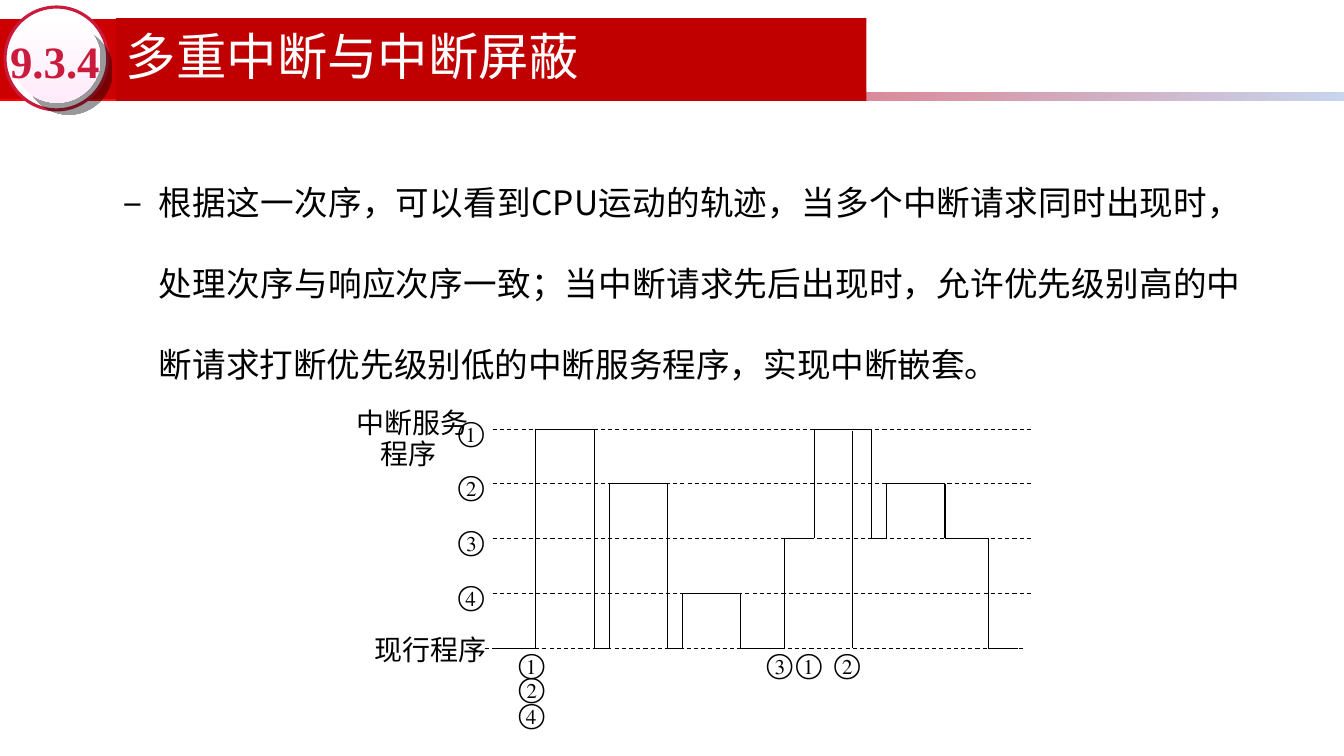
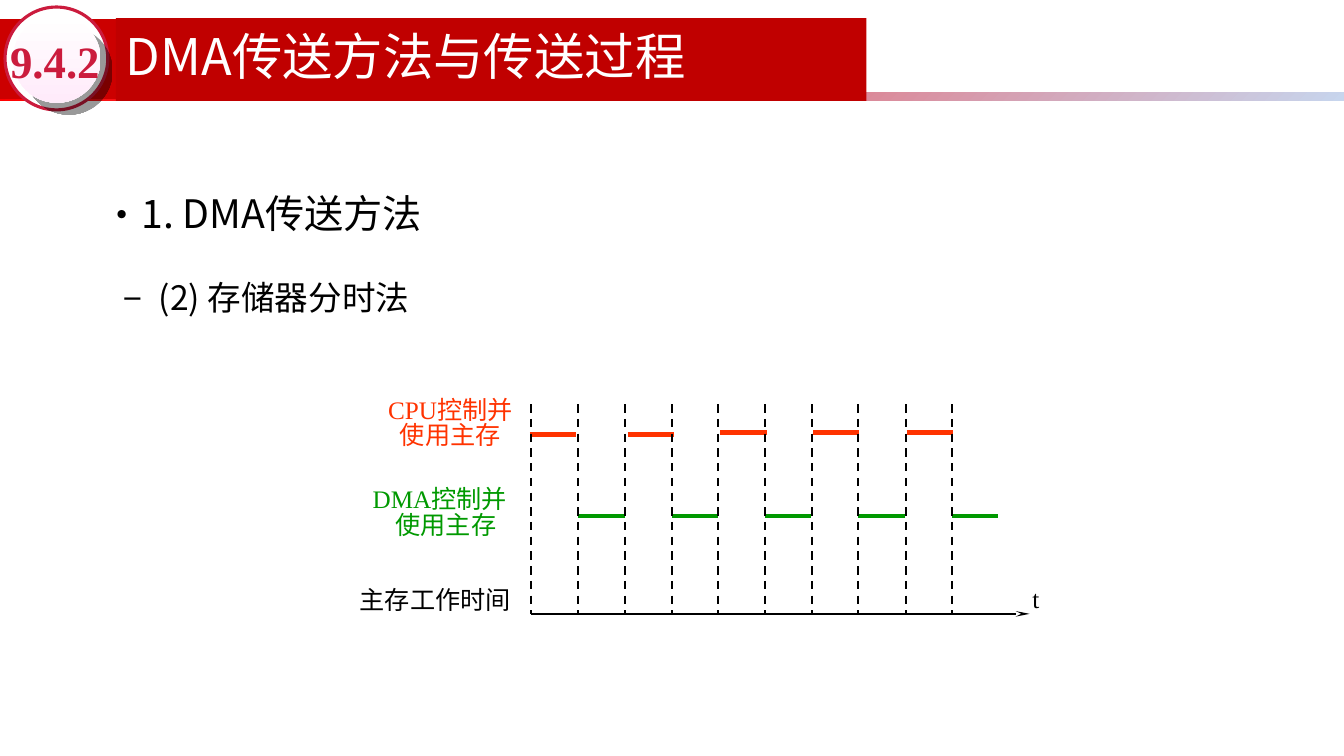
from dataclasses import dataclass
from itertools import pairwise
from typing import Optional

from lxml import etree
from pptx import Presentation
from pptx.dml.color import RGBColor
from pptx.enum.dml import MSO_LINE
from pptx.enum.shapes import MSO_CONNECTOR, MSO_SHAPE
from pptx.enum.text import MSO_ANCHOR, PP_ALIGN
from pptx.oxml.ns import qn
from pptx.util import Emu, Pt

SCALE = 9144
TITLE_ONLY = 5
STRAIGHT = MSO_CONNECTOR.STRAIGHT
RECTANGLE, OVAL = MSO_SHAPE.RECTANGLE, MSO_SHAPE.OVAL
DASH = MSO_LINE.DASH
MIDDLE = MSO_ANCHOR.MIDDLE
LEFT, CENTER, JUSTIFY = PP_ALIGN.LEFT, PP_ALIGN.CENTER, PP_ALIGN.JUSTIFY
SANS, SERIF = "Noto Sans CJK SC", "Times New Roman"
COLORS = {
    "black": "000000", "white": "FFFFFF", "band": "CC0000", "title": "C00000",
    "badge": "CB1B3D", "blush": "FFEBFA", "rule_start": "FF0000",
    "rule_end": "C7D5ED", "cpu": "FF3300", "dma": "009900",
}


@dataclass(frozen=True)
class Para:
    text: str
    size: int
    font: str = SERIF
    color: str = "black"
    bold: bool = False
    align: PP_ALIGN = LEFT
    spacing: float = 1.0
    before: float = 0
    margin: int = 0
    indent: int = 0
    level: int = 0
    bullet: str = ""
    east_asian: str = SANS


@dataclass(frozen=True)
class Box:
    left: int
    top: int
    width: int
    height: int
    paras: tuple[Para, ...]


@dataclass(frozen=True)
class Line:
    x1: int
    y1: int
    x2: int
    y2: int
    width: float = 0.75
    color: str = "black"
    dashed: bool = False
    arrow: bool = False


def px(value: int) -> Emu:
    return Emu(value * SCALE)


def rgb(name: str) -> RGBColor:
    return RGBColor.from_string(COLORS[name])


def write_para(paragraph, para: Para) -> None:
    paragraph.text = para.text
    paragraph.alignment = para.align
    paragraph.level = para.level
    paragraph.line_spacing = para.spacing
    paragraph.space_before = Pt(para.before)
    properties = paragraph._p.get_or_add_pPr()
    properties.set("marL", str(px(para.margin)))
    properties.set("indent", str(px(para.indent)))
    properties.set("hangingPunct", "0")
    if para.bullet:
        color = etree.SubElement(properties, qn("a:buClr"))
        etree.SubElement(color, qn("a:srgbClr"), val=COLORS[para.color])
        etree.SubElement(properties, qn("a:buFont"), typeface=para.font)
        etree.SubElement(properties, qn("a:buChar"), char=para.bullet)
    font = paragraph.font
    font.size = Pt(para.size)
    font.bold = para.bold
    font.color.rgb = rgb(para.color)
    font.name = para.font
    defaults = properties.find(qn("a:defRPr"))
    etree.SubElement(defaults, qn("a:ea"), typeface=para.east_asian)


def add_box(slide, box: Box):
    shape = slide.shapes.add_textbox(px(box.left), px(box.top), px(box.width), px(box.height))
    frame = shape.text_frame
    frame.word_wrap = True
    for index, para in enumerate(box.paras):
        paragraph = frame.add_paragraph() if index else frame.paragraphs[0]
        write_para(paragraph, para)
    return frame


def add_line(slide, line: Line) -> None:
    connector = slide.shapes.add_connector(
        STRAIGHT, px(line.x1), px(line.y1), px(line.x2), px(line.y2))
    connector.line.width = Pt(line.width)
    connector.line.color.rgb = rgb(line.color)
    if line.dashed:
        connector.line.dash_style = DASH
    properties = connector.element.spPr
    if line.arrow:
        etree.SubElement(properties.find(qn("a:ln")), qn("a:tailEnd"),
                         type="stealth", w="sm", len="lg")
    etree.SubElement(properties, qn("a:effectLst"))


def add_shape(slide, kind: MSO_SHAPE, left: int, top: int, width: int, height: int,
              colors: tuple[str, ...], angle: int = 0, outline: Optional[str] = None):
    shape = slide.shapes.add_shape(kind, px(left), px(top), px(width), px(height))
    shape.shadow.inherit = False
    if len(colors) == 1:
        shape.fill.solid()
        shape.fill.fore_color.rgb = rgb(colors[0])
    else:
        shape.fill.gradient()
        shape.fill.gradient_angle = angle
        for stop, color in zip(shape.fill.gradient_stops, colors):
            stop.color.rgb = rgb(color)
    if outline:
        shape.line.color.rgb = rgb(outline)
        shape.line.width = Pt(2.25)
    else:
        shape.line.fill.background()
    return shape


def add_drop_shadow(shape) -> None:
    effects = shape.element.spPr.find(qn("a:effectLst"))
    shadow = etree.SubElement(effects, qn("a:outerShdw"), blurRad="0", dist=str(Pt(12.1)),
                              dir="2700000", algn="ctr", rotWithShape="0")
    color = etree.SubElement(shadow, qn("a:srgbClr"), val=COLORS["black"])
    etree.SubElement(color, qn("a:alpha"), val="40000")


def add_slide(deck, number: str, heading: str, body: tuple[Para, ...]):
    slide = deck.slides.add_slide(deck.slide_layouts[TITLE_ONLY])
    add_shape(slide, RECTANGLE, 0, 92, 1334, 8, ("rule_start", "rule_end"), 315)
    add_shape(slide, RECTANGLE, 0, 19, 730, 79, ("band",))
    add_shape(slide, OVAL, 5, 7, 102, 102, ("white",), outline="badge")
    add_drop_shadow(add_shape(slide, OVAL, 13, 15, 87, 87, ("white", "blush"), 270))
    add_box(slide, Box(92, 136, 1150, 544, body))

    title = slide.shapes.title
    title.left, title.top, title.width, title.height = px(115), px(18), px(745), px(82)
    title.fill.solid()
    title.fill.fore_color.rgb = rgb("title")
    title.text_frame.vertical_anchor = MIDDLE
    write_para(title.text_frame.paragraphs[0],
               Para(heading, 36, SANS, "white", spacing=0.9))
    title.element.getparent().append(title.element)

    badge = add_box(slide, Box(10, 33, 93, 54, (Para(number, 32, SERIF, "badge", True),)))
    badge.vertical_anchor = MIDDLE
    badge.margin_left = badge.margin_right = badge.margin_top = badge.margin_bottom = 0
    return slide


def topic(text: str) -> Para:
    return Para(text, 28, SANS, align=JUSTIFY, spacing=2.0, margin=19, indent=-19, bullet="•")


def subtopic(text: str) -> Para:
    return Para(text, 24, SANS, align=JUSTIFY, spacing=2.0, margin=56, indent=-35,
                level=1, bullet="−")


def build_interrupts(deck) -> None:
    slide = add_slide(deck, "9.3.4", "多重中断与中断屏蔽", (subtopic(
        "根据这一次序，可以看到CPU运动的轨迹，当多个中断请求同时出现时，"
        "处理次序与响应次序一致；当中断请求先后出现时，允许优先级别高的中断请求"
        "打断优先级别低的中断服务程序，实现中断嵌套。"),))
    levels = [round(426 + 54.25 * index) for index in range(5)]
    base = len(levels) - 1
    for index, y in enumerate(levels):
        left = 481 if index == base else 489
        add_line(slide, Line(left, y, left + 537, y, dashed=True))

    steps = ((532, 0), (590, base), (605, 1), (663, base), (677, 3), (735, base),
             (779, 2), (808, 0), (865, 2), (880, 1), (938, 2), (981, base))
    points = [(489, levels[base])]
    for x, level in steps:
        points += [(x, points[-1][1]), (x, levels[level])]
    points.append((1010, levels[base]))
    for start, end in pairwise(points):
        add_line(slide, Line(*start, *end))
    add_line(slide, Line(846, 428, 846, levels[base], 0.5))

    add_box(slide, Box(344, 397, 152, 71, (
        Para("中断服务", 20),
        Para("程序", 20, spacing=0.3, before=12.5, margin=24))))
    add_box(slide, Box(362, 623, 152, 44, (Para("现行程序", 20),)))
    marks = [(445, levels[index] - 20, mark) for index, mark in enumerate("①②③④")]
    marks += [(505, 636, "①"), (505, 660, "②"), (505, 686, "④"),
              (751, 636, "③"), (780, 636, "①"), (818, 636, "②")]
    for left, top, mark in marks:
        add_box(slide, Box(left, top, 145, 44, (Para(mark, 20, east_asian=SERIF),)))


def build_transfer(deck) -> None:
    slide = add_slide(deck, "9.4.2", "DMA传送方法与传送过程",
                      (topic("1. DMA传送方法"), subtopic("(2) 存储器分时法")))
    slots = [round(527.4 + 46.4 * index) for index in range(10)]
    for x, y in ((526, 431), (623, 431), (715, 429), (807, 429), (900, 429)):
        add_line(slide, Line(x, y, x + 46, y, 3, "cpu"))
    for x in slots[1::2]:
        add_line(slide, Line(x, 512, x + 46, 512, 3, "dma"))
    add_line(slide, Line(527, 609, 1022, 609, 1.5, arrow=True))
    for x in slots:
        add_line(slide, Line(x, 401, x, 609, 1.5, dashed=True))

    for left, top, width, owner, color, shift in (
            (354, 386, 186, "CPU", "cpu", 0), (304, 475, 265, "DMA", "dma", 12)):
        add_box(slide, Box(left, top, width, 62, (
            Para(f"{owner}控制并", 18, color=color, align=CENTER),
            Para("使用主存", 18, color=color, align=CENTER, spacing=0.2,
                 before=11.2, margin=shift))))
    add_box(slide, Box(311, 575, 242, 40, (Para("主存工作时间", 18, align=CENTER),)))
    add_box(slide, Box(1015, 574, 77, 40, (Para("t", 18),)))


def main() -> None:
    deck = Presentation()
    deck.slide_width, deck.slide_height = px(1334), px(750)
    build_interrupts(deck)
    build_transfer(deck)
    deck.save("out.pptx")


if __name__ == "__main__":
    main()
